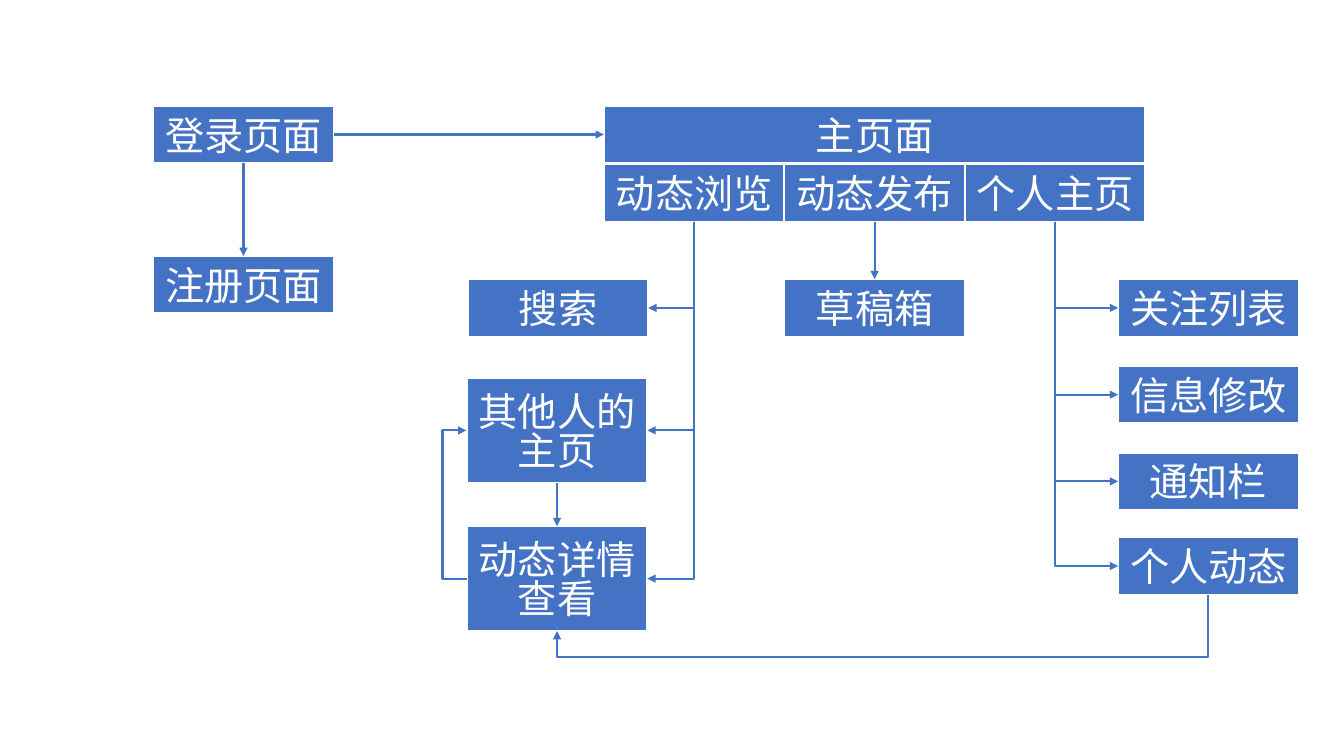
from pptx import Presentation, util as u
from pptx.dml import color
from pptx.enum import shapes, text
from pptx.oxml import ns
from lxml import etree

BLUE = color.RGBColor(0x44, 0x72, 0xC4)
WHITE = color.RGBColor(0xFF, 0xFF, 0xFF)
FONT = "Noto Sans CJK SC"
TOP, LEFT, BOTTOM, RIGHT = range(4)
PAGE_W, PAGE_H, TALL_H = 1.79, 0.57, 1.04
LINE_W = u.Pt(1.5)
FRAME = {"word_wrap": True, "auto_size": text.MSO_AUTO_SIZE.NONE,
         "vertical_anchor": text.MSO_ANCHOR.MIDDLE}
LETTERS = {"name": FONT, "size": u.Pt(28)}
TALL_FRAME = {"margin_top": u.Inches(0.12)}


def apply(target, values):
    for key, value in values.items():
        setattr(target, key, value)


def add_page(slide, label, left, top, width=PAGE_W, height=PAGE_H):
    page = slide.shapes.add_shape(
        shapes.MSO_SHAPE.RECTANGLE, *map(u.Inches, (left, top, width, height)))
    page.shadow.inherit = False
    page.fill.solid()
    page.fill.fore_color.rgb = BLUE
    page.line.color.rgb = WHITE
    page.line.width = LINE_W
    frame = page.text_frame
    apply(frame, FRAME)
    paragraph = frame.paragraphs[0]
    paragraph.alignment = text.PP_ALIGN.CENTER
    run = paragraph.add_run()
    run.text = label
    apply(run.font, LETTERS)
    run.font.color.rgb = WHITE
    etree.SubElement(run.font._element, ns.qn("a:ea"), typeface=FONT)
    return page


def add_tall_page(slide, label, left, top):
    page = add_page(slide, label, left, top, height=TALL_H)
    apply(page.text_frame, TALL_FRAME)
    page.text_frame.paragraphs[0].line_spacing = 0.83
    return page


def add_arrow(slide, source, source_side, target, target_side,
              kind=shapes.MSO_CONNECTOR.STRAIGHT):
    arrow = slide.shapes.add_connector(kind, 0, 0, 0, 0)
    arrow.begin_connect(source, source_side)
    arrow.end_connect(target, target_side)
    arrow.line.color.rgb = BLUE
    arrow.line.width = LINE_W
    etree.SubElement(arrow.line._get_or_add_ln(), ns.qn("a:tailEnd"), type="triangle")
    etree.SubElement(arrow._element.spPr, ns.qn("a:effectLst"))
    return arrow


def add_elbow(slide, source, source_side, target, target_side, reach=None):
    arrow = add_arrow(slide, source, source_side, target, target_side,
                      shapes.MSO_CONNECTOR.ELBOW)
    dx, dy = arrow.end_x - arrow.begin_x, arrow.end_y - arrow.begin_y
    mid_x, mid_y = arrow.begin_x + dx // 2, arrow.begin_y + dy // 2
    turn = 90 if source_side == BOTTOM else 180
    along, across = (dy, dx) if turn == 90 else (dx, dy)
    width, height = max(abs(along), u.Inches(0.01)), abs(across)
    apply(arrow, {"left": mid_x - width // 2, "top": mid_y - height // 2,
                  "width": width, "height": height})
    xfrm = arrow._element.spPr.find(ns.qn("a:xfrm"))
    for flip in ("flipH", "flipV"):
        xfrm.attrib.pop(flip, None)
    xfrm.set("rot", str(turn * 60000))
    if across > 0:
        xfrm.set("flipV", "1")
    geometry = arrow._element.spPr.find(ns.qn("a:prstGeom"))
    if reach is None:
        geometry.set("prst", "bentConnector2")
    else:
        guides = geometry.find(ns.qn("a:avLst"))
        if guides is None:
            guides = etree.SubElement(geometry, ns.qn("a:avLst"))
        etree.SubElement(guides, ns.qn("a:gd"), name="adj1",
                         fmla=f"val {round(u.Inches(reach) / width * 100000)}")


def build_entry(slide, left, top):
    login = add_page(slide, "登录页面", left, top)
    register = add_page(slide, "注册页面", left, top + 1.49)
    add_arrow(slide, login, BOTTOM, register, TOP)
    return login


def build_main(slide, left, top):
    main = add_page(slide, "主页面", left, top, 3 * PAGE_W)
    tabs = [add_page(slide, label, left + i * PAGE_W, top + 0.58)
            for i, label in enumerate(("动态浏览", "动态发布", "个人主页"))]
    return main, tabs


def build_browse(slide, left, top, tab):
    search = add_page(slide, "搜索", left + 0.01, top)
    others = add_tall_page(slide, "其他人的主页", left, top + 0.98)
    details = add_tall_page(slide, "动态详情查看", left, top + 2.45)
    for page in (search, others, details):
        add_elbow(slide, tab, BOTTOM, page, RIGHT)
    add_arrow(slide, others, BOTTOM, details, TOP)
    add_elbow(slide, details, LEFT, others, LEFT, 0.25)
    return details


def build_publish(slide, left, top, tab):
    drafts = add_page(slide, "草稿箱", left, top)
    add_arrow(slide, tab, BOTTOM, drafts, TOP)


def build_profile(slide, left, top, tab):
    labels = ("关注列表", "信息修改", "通知栏", "个人动态")
    offsets = (0, 0.86, 1.72, 2.56)
    pages = [add_page(slide, label, left, top + offset)
             for label, offset in zip(labels, offsets)]
    for page in pages:
        add_elbow(slide, tab, BOTTOM, page, LEFT)
    return pages[-1]


def build_site_map(slide):
    login = build_entry(slide, 1.52, 1.05)
    main, (browse, publish, profile) = build_main(slide, 5.99, 1.05)
    add_arrow(slide, login, RIGHT, main, LEFT)
    details = build_browse(slide, 4.63, 2.77, browse)
    build_publish(slide, 7.78, 2.77, publish)
    own_posts = build_profile(slide, 11.09, 2.77, profile)
    add_elbow(slide, own_posts, BOTTOM, details, BOTTOM, 0.62)


deck = Presentation()
deck.slide_width, deck.slide_height = u.Inches(13.33), u.Inches(7.5)
build_site_map(deck.slides.add_slide(deck.slide_layouts[6]))
deck.save("out.pptx")
